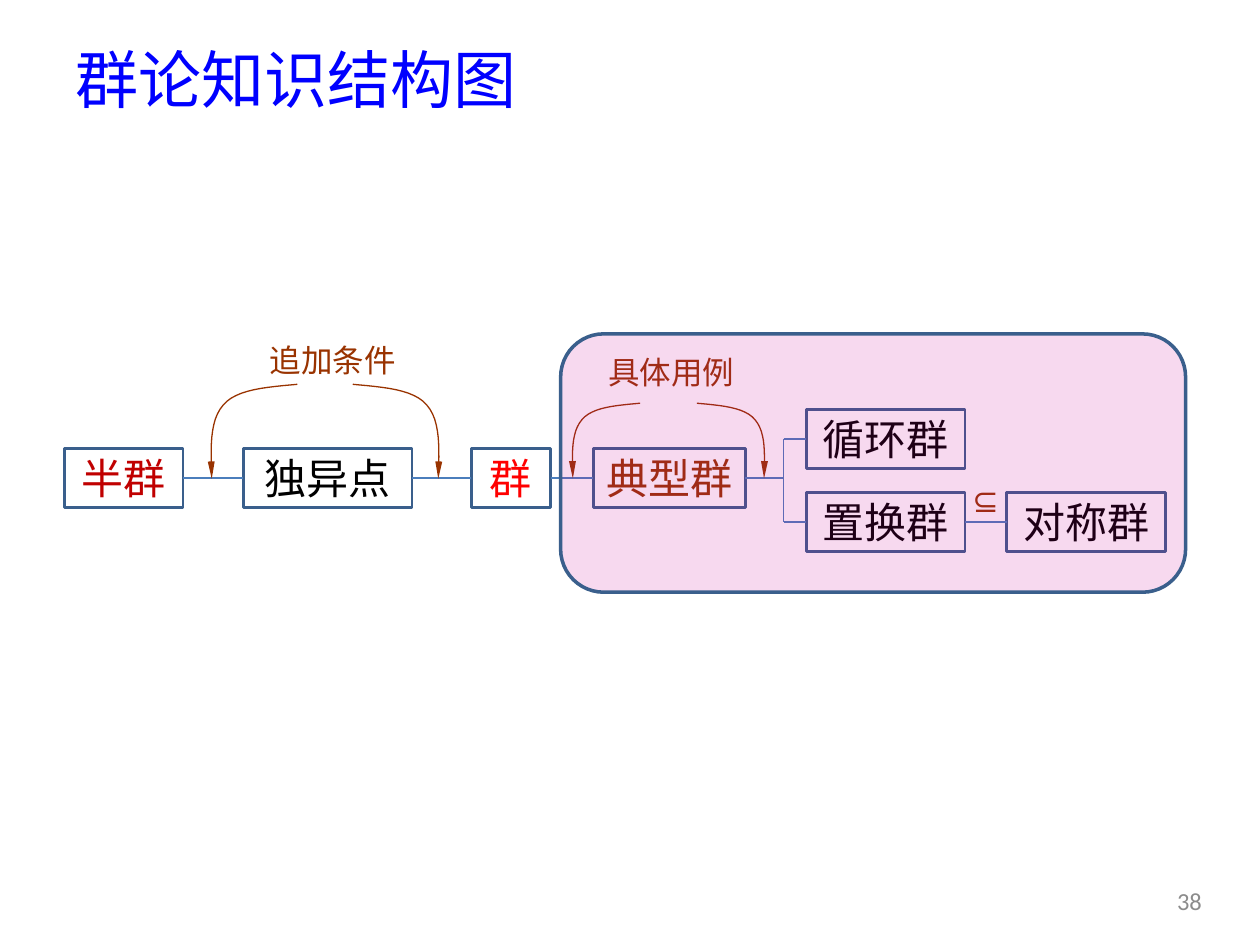
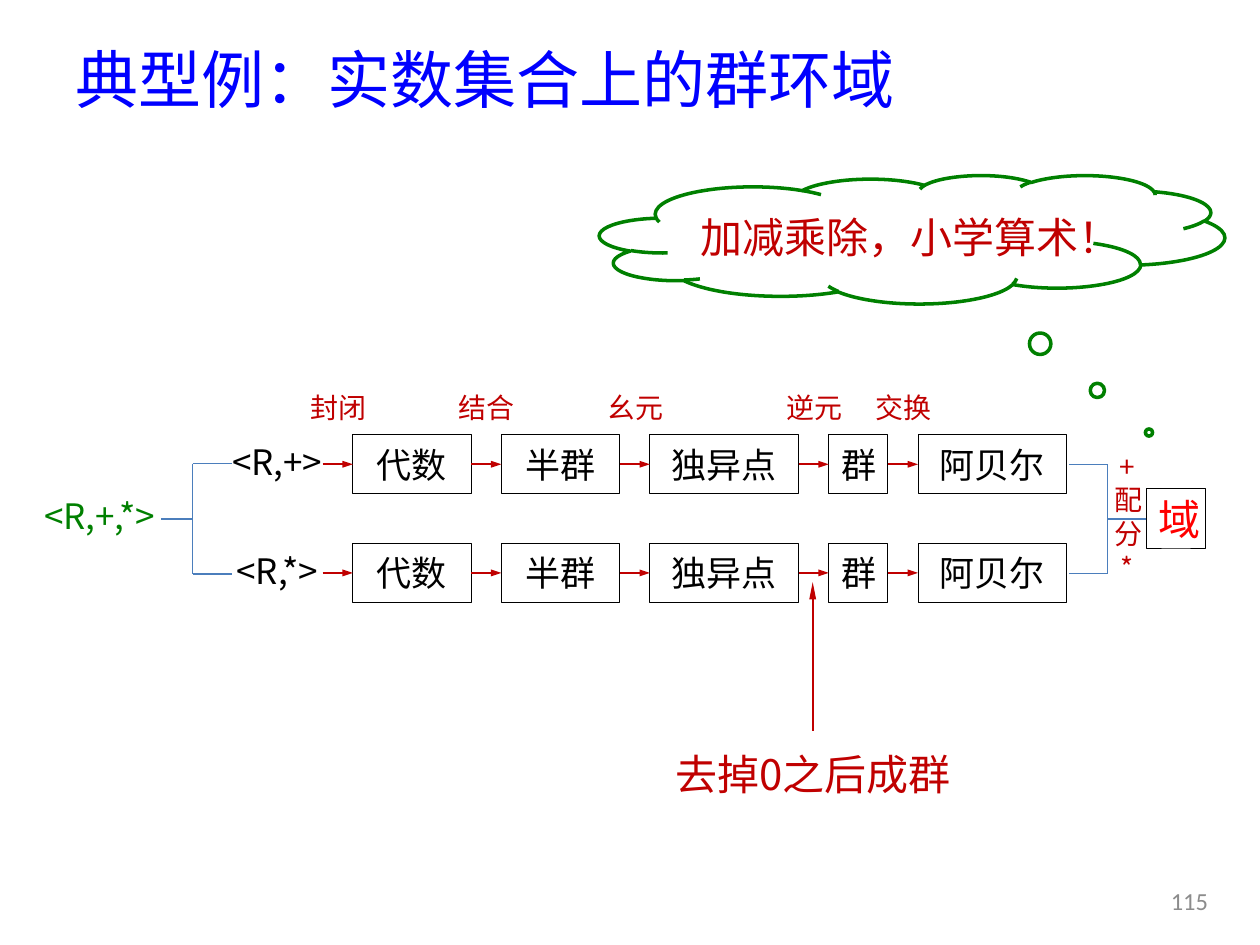
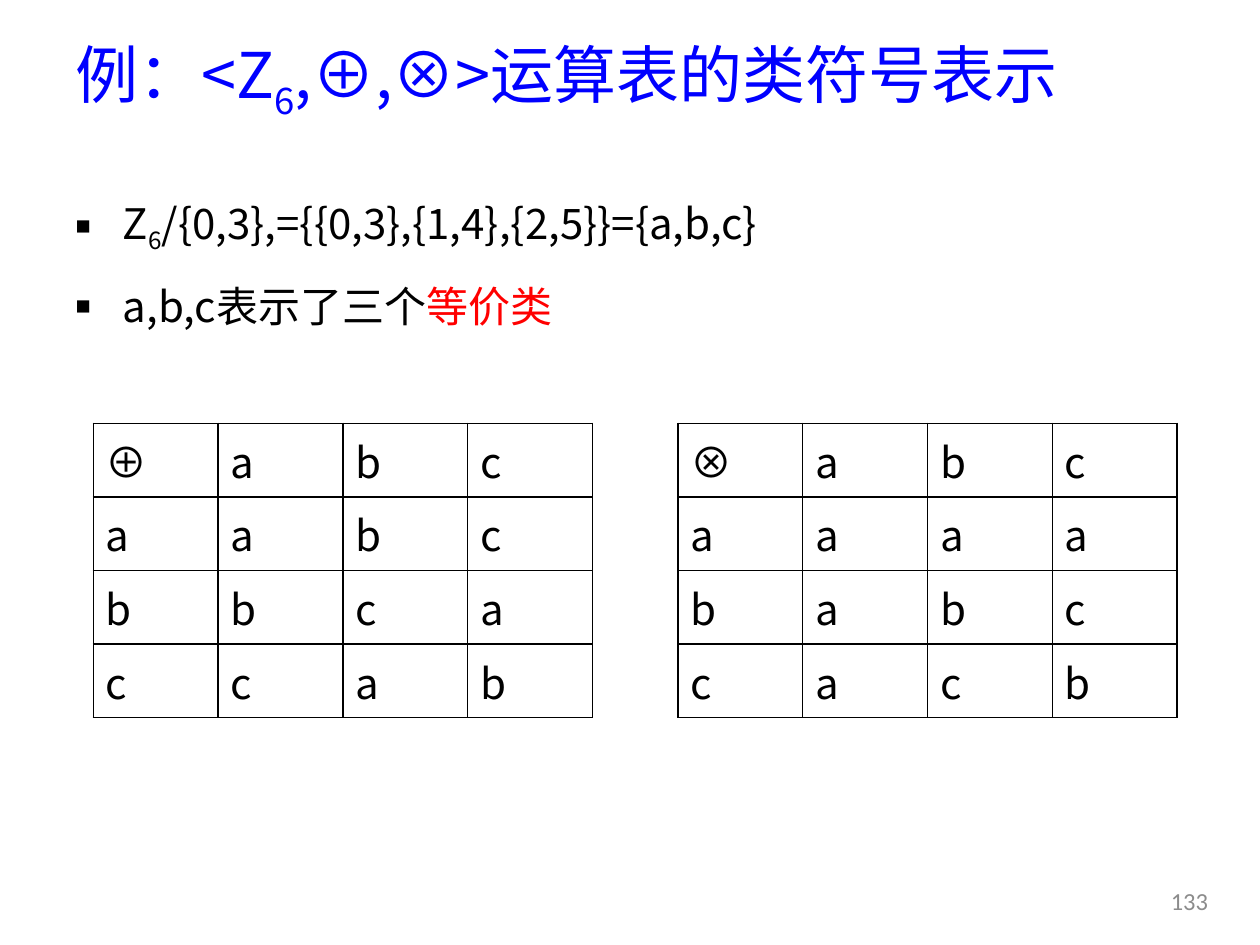
from lxml.etree import SubElement
from pptx import Presentation
from pptx.dml.color import RGBColor
from pptx.enum.shapes import MSO_CONNECTOR, MSO_SHAPE
from pptx.enum.text import MSO_ANCHOR, MSO_AUTO_SIZE, PP_ALIGN
from pptx.oxml import parse_xml
from pptx.oxml.ns import nsdecls, qn
from pptx.util import Pt

BLUE = RGBColor(0x00, 0x00, 0xFF)
BLACK = RGBColor(0x00, 0x00, 0x00)
RED = RGBColor(0xFF, 0x00, 0x00)
CRIMSON = RGBColor(0xC0, 0x00, 0x00)
BROWN = RGBColor(0x99, 0x33, 0x00)
GREEN = RGBColor(0x00, 0x80, 0x00)
GRAY = RGBColor(0x8C, 0x8C, 0x8C)
STEEL = RGBColor(0x3A, 0x5F, 0x8C)
SKY = RGBColor(0x4B, 0x7E, 0xBC)
MAGENTA = RGBColor(0xCC, 0x00, 0x99)

HAN = "Noto Sans CJK SC"
HAN_JP = "Noto Sans CJK JP"
LATIN = "Calibri"
BOX_HEIGHT = 33.8
SUBSCRIPT = {"baseline": -25000}

ARC_SEGMENTS = (
    ((0, 0), (0.34, 0.03), (0.69, 0.05), (0.84, 0.22)),
    ((0.84, 0.22), (1, 0.39), (0.98, 0.69), (0.97, 1)),
)


def write(frame, *paragraphs, size=20, color=BLACK, font=HAN, align=PP_ALIGN.CENTER,
          anchor=MSO_ANCHOR.MIDDLE, wrap=True):
    """Fill a text frame; a paragraph is a string or a list of (text, overrides) runs."""
    frame.auto_size = MSO_AUTO_SIZE.NONE
    frame.word_wrap = wrap
    frame.vertical_anchor = anchor
    for index, content in enumerate(paragraphs):
        paragraph = frame.add_paragraph() if index else frame.paragraphs[0]
        paragraph.alignment = align
        runs = [(content, {})] if isinstance(content, str) else content
        for text, overrides in runs:
            run = paragraph.add_run()
            run.text = text
            run.font.size = Pt(size)
            run.font.color.rgb = overrides.get("color", color)
            run.font.name = font
            properties = run.font._element
            SubElement(properties, qn("a:ea")).set("typeface", font)
            if "baseline" in overrides:
                properties.set("baseline", str(overrides["baseline"]))


def cubic(points, t):
    """Return the point at t on a cubic curve."""
    weights = ((1 - t) ** 3, 3 * t * (1 - t) ** 2, 3 * t ** 2 * (1 - t), t ** 3)
    return tuple(sum(w * p[axis] for w, p in zip(weights, points)) for axis in (0, 1))


class Deck:
    """Holds the presentation, its shared style and the current slide."""

    def __init__(self):
        """Open a blank 10 by 7.5 inch presentation."""
        self.presentation = Presentation()
        self.presentation.slide_width = Pt(720)
        self.presentation.slide_height = Pt(540)
        self.slide = None

    def start(self, title, number, layout=5):
        """Add a slide with its title and page number."""
        self.slide = self.presentation.slides.add_slide(self.presentation.slide_layouts[layout])
        heading = self.slide.shapes.title
        self.place(heading, 36, 19.4, 648, 51.1)
        write(heading.text_frame, title, size=36, color=BLUE, align=PP_ALIGN.LEFT)
        self.label(str(number), 658.8, 500.4, 41.8, 28.8, size=14, color=GRAY, font=LATIN)

    def place(self, shape, left, top, width, height):
        """Move and size a shape."""
        shape.left, shape.top, shape.width, shape.height = map(Pt, (left, top, width, height))

    def label(self, text, left, top, width, height, **style):
        """Add a text box."""
        box = self.slide.shapes.add_textbox(*map(Pt, (left, top, width, height)))
        write(box.text_frame, text, **style)

    def outline(self, kind, left, top, width, height, line=STEEL, weight=1.5):
        """Add an unfilled preset shape."""
        shape = self.slide.shapes.add_shape(kind, *map(Pt, (left, top, width, height)))
        shape.shadow.inherit = False
        shape.fill.background()
        shape.line.color.rgb = line
        shape.line.width = Pt(weight)
        return shape

    def node(self, text, left, top, width, line=STEEL, weight=1.5, **style):
        """Add a framed term."""
        shape = self.outline(MSO_SHAPE.RECTANGLE, left, top, width, BOX_HEIGHT, line, weight)
        write(shape.text_frame, text, **style)

    def arrowhead(self, line, length):
        """Put a narrow triangle at the end of a line."""
        SubElement(line._get_or_add_ln(), qn("a:tailEnd"), type="triangle", w="sm", len=length)

    def line(self, x1, y1, x2, y2, color=SKY, weight=1, head=None):
        """Add a straight line, with an arrowhead if its length is given."""
        connector = self.slide.shapes.add_connector(
            MSO_CONNECTOR.STRAIGHT, *map(Pt, (x1, y1, x2, y2)))
        connector.line.color.rgb = color
        connector.line.width = Pt(weight)
        if head:
            self.arrowhead(connector.line, head)
        SubElement(connector._element.spPr, qn("a:effectLst"))

    def bracket(self, spine, top, bottom, tip, stem, middle, weight=0.75):
        """Join two branches to one stem."""
        self.line(spine, top, spine, bottom, weight=weight)
        self.line(stem, middle, spine, middle, weight=weight)
        for y in (top, bottom):
            self.line(spine, y, tip, y, weight=weight)

    def arc(self, left, top, reach, drop):
        """Add a curved arrow that bends sideways and then down."""
        steps = 12
        curve = [cubic(segment, step / steps)
                 for segment in ARC_SEGMENTS for step in range(1, steps + 1)]
        builder = self.slide.shapes.build_freeform(Pt(left), Pt(top))
        builder.add_line_segments(
            [(Pt(left + reach * x), Pt(top + drop * y)) for x, y in curve], close=False)
        shape = builder.convert_to_shape()
        shape.shadow.inherit = False
        shape.fill.background()
        shape.line.color.rgb = BROWN
        shape.line.width = Pt(0.75)
        self.arrowhead(shape.line, "lg")

    def bullets(self, *items):
        """Fill the body placeholder with a square-bulleted list."""
        body = self.slide.placeholders[1]
        self.place(body, 36, 105.8, 641.5, 85)
        write(body.text_frame, *items, size=24, align=PP_ALIGN.LEFT, anchor=MSO_ANCHOR.TOP)
        for index, paragraph in enumerate(body.text_frame.paragraphs):
            properties = paragraph._p.get_or_add_pPr()
            properties.set("marL", str(Pt(27)))
            properties.set("indent", str(Pt(-27)))
            SubElement(properties, qn("a:buSzPct"), val="60000")
            SubElement(properties, qn("a:buChar"), char="■")
            paragraph.line_spacing = 1.1
            paragraph.space_before = Pt(6 if index else 0)
            paragraph.space_after = Pt(6)

    def table(self, rows, left, top, column=71.3, row_height=40.3):
        """Add a plain ruled table."""
        count = len(rows[0])
        table = self.slide.shapes.add_table(
            len(rows), count, Pt(left), Pt(top),
            Pt(column * count), Pt(row_height * len(rows))).table
        table.first_row = table.horz_banding = False
        for r, row in enumerate(rows):
            for c, symbol in enumerate(row):
                cell = table.cell(r, c)
                cell.fill.background()
                write(cell.text_frame, symbol, size=24, align=PP_ALIGN.LEFT)
                cell.vertical_anchor = MSO_ANCHOR.MIDDLE
                for index, side in enumerate(("lnL", "lnR", "lnT", "lnB")):
                    cell._tc.get_or_add_tcPr().insert(index, parse_xml(
                        f'<a:{side} {nsdecls("a")} w="{Pt(1)}"><a:solidFill>'
                        f'<a:srgbClr val="{BLACK}"/></a:solidFill></a:{side}>'))

    def veil(self, left, top, width, height, color, opacity):
        """Cover an area with a translucent rounded rectangle."""
        shape = self.outline(MSO_SHAPE.ROUNDED_RECTANGLE, left, top, width, height, weight=2)
        shape.fill.solid()
        shape.fill.fore_color.rgb = color
        tint = shape._element.spPr.find(qn("a:solidFill")).find(qn("a:srgbClr"))
        SubElement(tint, qn("a:alpha"), val=str(opacity * 1000))


def group_theory_map(deck):
    """Build the overview of group theory."""
    deck.start("群论知识结构图", 38)
    top, middle = 256.3, 273.2
    chain = (
        ("半群", 37, 67.7, CRIMSON, HAN),
        ("独异点", 139, 96.5, BLACK, HAN),
        ("群", 269.3, 45.4, RED, HAN_JP),
        ("典型群", 339.1, 86.8, BROWN, HAN_JP),
    )
    for term, left, width, color, font in chain:
        deck.node(term, left, top, width, size=24, color=color, font=font)
    for (_, left, width, *_), (_, following, *_) in zip(chain, chain[1:]):
        deck.line(left + width, middle, following, middle)

    upper, lower, family = 234, 281.5, 90.7
    for term, left, y in (("循环群", 460.8, upper), ("置换群", 460.8, lower),
                          ("对称群", 575.3, lower)):
        deck.node(term, left, y, family, size=24)
    deck.bracket(447.8, 250.9, 298.4, 460.8, 425.9, middle, weight=1)
    deck.line(551.5, 298.4, 575.3, 298.4)
    deck.label("⊆", 548.6, 277.2, 28.1, 17.3, size=18, color=BROWN, font=LATIN)

    deck.label("追加条件", 144.7, 188.6, 90.7, BOX_HEIGHT, size=18, color=BROWN)
    deck.label("具体用例", 332.6, 195.8, 102.2, BOX_HEIGHT, size=18, color=BROWN)
    for left, y, reach, drop in ((169.9, 219.6, -50.4, 54), (201.6, 219.6, 50.4, 54),
                                 (365.8, 230.4, -39.6, 43), (398.2, 230.4, 39.6, 43)):
        deck.arc(left, y, reach, drop)
    deck.veil(320.4, 190.8, 357.1, 147.6, MAGENTA, 15)


def real_number_field(deck):
    """Build the path from the reals to a field."""
    deck.start("典型例：实数集合上的群环域", 115)
    chain = (("代数", 67.7, "封闭"), ("半群", 67.7, "结合"), ("独异点", 85, "幺元"),
             ("群", 33.8, "逆元"), ("阿贝尔", 85, "交换"))
    gap = 17.2
    deck.label("<R,+,*>", 14.4, 277.9, 85, BOX_HEIGHT, color=GREEN)
    for structure, top in (("<R,+>", 248.4), ("<R,*>", 310.5)):
        deck.label(structure, 124.6, top - 1.5, 67.7, BOX_HEIGHT, wrap=False)
        left, middle = 201.6, top + BOX_HEIGHT / 2
        for term, width, _ in chain:
            deck.node(term, left, top, width, line=BLACK, weight=0.5)
            deck.line(left - gap, middle, left, middle, color=CRIMSON, head="med")
            left += width + gap
    left = 201.6
    for _, width, condition in chain:
        deck.label(condition, left - 34, 218.9, 51.1, 28.1, size=16, color=CRIMSON)
        left += width + gap

    deck.bracket(110.2, 264.9, 328.1, 132.5, 92.2, 296.6)
    deck.bracket(632.9, 265.5, 327.6, 610.6, 655.2, 296.6)
    deck.label("+配分*", 630, 258.5, 28.1, 73.4, size=16, color=CRIMSON)
    deck.node("域", 655.2, 279.4, 33.8, line=BLACK, weight=0.5, size=24, color=RED)

    deck.label("去掉0之后成群", 357.1, 421.9, 215.3, 41, size=24, color=CRIMSON)
    deck.line(464.4, 417.6, 464.4, 332.6, color=CRIMSON, head="lg")
    cloud = deck.outline(MSO_SHAPE.CLOUD_CALLOUT, 342.7, 100.1, 357.1, 73.4, GREEN, 2)
    cloud.adjustments[0], cloud.adjustments[1] = 0.379, 1.504
    write(cloud.text_frame, "加减乘除，小学算术！", size=24, color=CRIMSON)


def class_symbol_tables(deck):
    """Build the operation tables of the equivalence classes."""
    deck.start([("例：<Z", {}), ("6", SUBSCRIPT), (",⊕,⊗>运算表的类符号表示", {})], 133, layout=1)
    deck.bullets(
        [("Z", {}), ("6", SUBSCRIPT), ("/{0,3},={{0,3},{1,4},{2,5}}={a,b,c}", {})],
        [("a,b,c表示了三个", {}), ("等价类", {"color": RED})],
    )
    deck.table(("⊕abc", "aabc", "bbca", "ccab"), 53.3, 241.9)
    deck.table(("⊗abc", "aaaa", "babc", "cacb"), 387.4, 241.9)


def main():
    """Build and save the slides."""
    deck = Deck()
    group_theory_map(deck)
    real_number_field(deck)
    class_symbol_tables(deck)
    deck.presentation.save("out.pptx")


if __name__ == "__main__":
    main()
